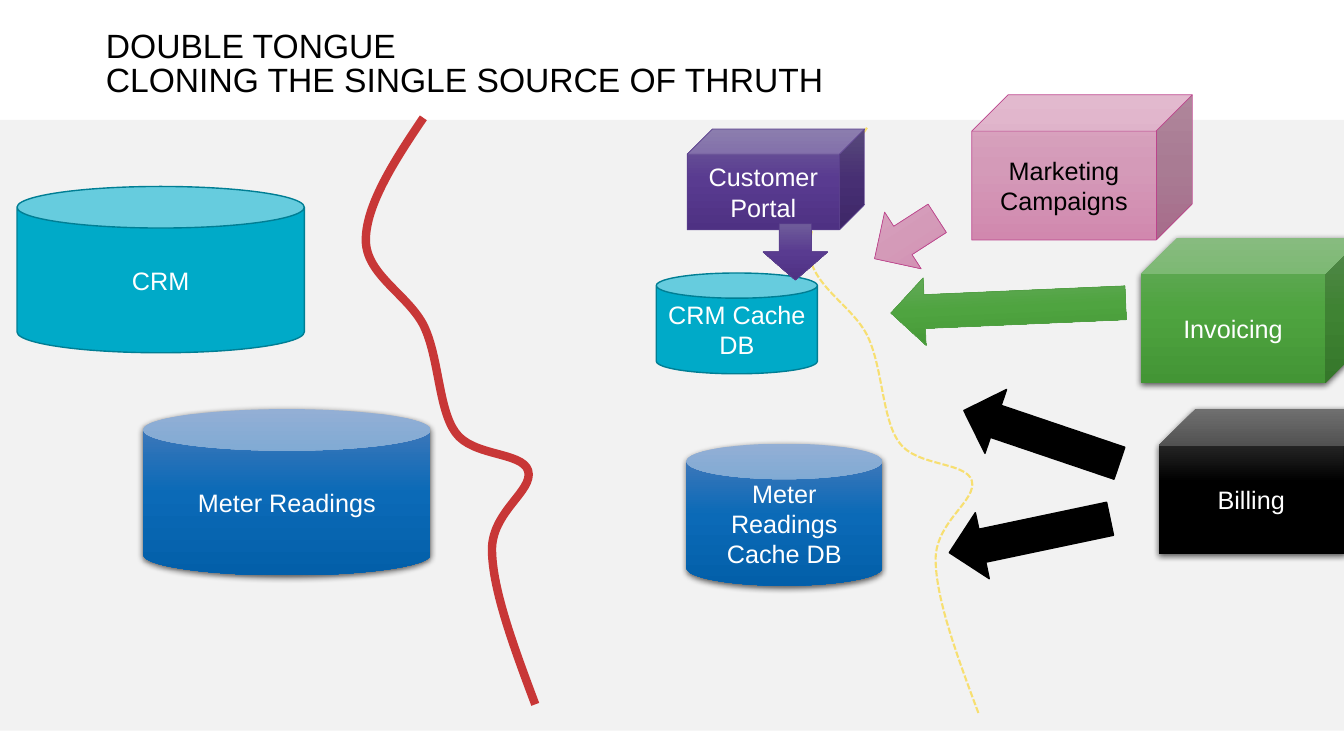
from copy import deepcopy
from dataclasses import dataclass

from lxml import etree
from pptx import Presentation
from pptx import util as u
from pptx.dml.color import RGBColor
from pptx.enum import dml, shapes, text
from pptx.oxml.ns import qn

KIND = shapes.MSO_SHAPE


@dataclass(frozen=True)
class Look:
    fills: tuple
    line: str = ""
    weight: float = 0.5
    shadow: bool = False
    ink: str = "FFFFFF"


@dataclass(frozen=True)
class Theme:
    font: str = "Arial"
    title_size: int = 24
    label_size: int = 18
    ink: str = "000000"
    boundary: str = "C83737"
    cache_boundary: str = "F7DF71"
    band: Look = Look(("F2F2F2",))
    crm: Look = Look(("00AAC8",), "007E94", 1)
    meter: Look = Look(("4C7BBA", "0B6AB7", "035FA9"), shadow=True)
    invoicing: Look = Look(("69AB60", "4FA440", "439535"), shadow=True)
    invoicing_arrow: Look = Look(("69AB60", "4FA440", "439535"), "529F45")
    billing: Look = Look(("4B4B4B", "000000", "000000"), shadow=True)
    billing_arrow: Look = Look(("000000",), "000000", 1)
    marketing: Look = Look(("DBA8C2", "D49AB8", "D188AE"), "BC448C", ink="000000")
    portal: Look = Look(("6F5D9A", "593B90", "4E3183"), "5A3F8C")


def write(frame, words, *, font, size, color, align=text.PP_ALIGN.LEFT, spacing=None):
    frame.word_wrap = True
    frame.vertical_anchor = text.MSO_ANCHOR.MIDDLE
    para = frame.paragraphs[0]
    para.alignment = align
    if spacing:
        para.line_spacing = spacing
    for index, line in enumerate(words.split("\n")):
        if index:
            para.add_line_break()
        span = para.add_run()
        span.text = line
        span.font.name = font
        span.font.size = u.Pt(size)
        span.font.color.rgb = RGBColor.from_string(color)


class Painter:
    def __init__(self, page, theme):
        self.page = page
        self.theme = theme

    def title(self, words, left, top, width, height):
        frame = self.page.shapes.add_textbox(*map(u.Cm, (left, top, width, height))).text_frame
        frame.margin_left = frame.margin_right = frame.margin_bottom = 0
        frame.margin_top = u.Cm(0.1)
        write(frame, words, font=self.theme.font, size=self.theme.title_size,
              color=self.theme.ink, spacing=0.85)

    def shape(self, kind, look, left, top, width, height, label="", turn=0):
        box = self.page.shapes.add_shape(kind, *map(u.Cm, (left, top, width, height)))
        box.rotation = turn
        self.paint(box, look)
        if label:
            write(box.text_frame, label, font=self.theme.font, size=self.theme.label_size,
                  color=look.ink, align=text.PP_ALIGN.CENTER)

    def paint(self, box, look):
        box.shadow.inherit = False
        properties = box._element.spPr
        if len(look.fills) == 1:
            box.fill.solid()
            box.fill.fore_color.rgb = RGBColor.from_string(look.fills[0])
        else:
            box.fill.gradient()
            box.fill.gradient_angle = 270
            stops = properties.find(".//" + qn("a:gsLst"))
            stops.append(deepcopy(stops[0]))
            for stop, color, position in zip(box.fill.gradient_stops, look.fills, (0, 0.5, 1)):
                stop.color.rgb = RGBColor.from_string(color)
                stop.position = position
        if look.line:
            box.line.color.rgb = RGBColor.from_string(look.line)
            box.line.width = u.Pt(look.weight)
        else:
            box.line.fill.background()
        if look.shadow:
            shade = etree.SubElement(
                properties.find(qn("a:effectLst")), qn("a:outerShdw"),
                blurRad=str(u.Pt(4.5)), dist=str(u.Pt(1.5)), dir="5400000", rotWithShape="0")
            color = etree.SubElement(shade, qn("a:srgbClr"), val="000000")
            etree.SubElement(color, qn("a:alpha"), val="63000")

    def curve(self, points, color, weight, shift=(0, 0), dash=None):
        start, *rest = [(u.Cm(x + shift[0]), u.Cm(y + shift[1])) for x, y in points]
        builder = self.page.shapes.build_freeform(*start)
        builder.add_line_segments(rest, close=False)
        wave = builder.convert_to_shape()
        wave.shadow.inherit = False
        wave.fill.background()
        wave.line.color.rgb = RGBColor.from_string(color)
        wave.line.width = u.Pt(weight)
        if dash:
            wave.line.dash_style = dash
        outline = wave._element.spPr.find(".//" + qn("a:path"))
        segments = outline.findall(qn("a:lnTo"))
        for first in range(0, len(segments), 3):
            bend = etree.SubElement(outline, qn("a:cubicBezTo"))
            for segment in segments[first:first + 3]:
                bend.append(segment[0])
                outline.remove(segment)


BOUNDARY = (
    (10.67, 2.97),
    (9.93, 4.06), (9.22, 5.18), (9.22, 6.05),
    (9.22, 6.93), (10.31, 7.44), (10.69, 8.23),
    (11.07, 9.04), (11.05, 10.31), (11.48, 10.9),
    (11.91, 11.51), (13.16, 11.38), (13.31, 11.86),
    (13.46, 12.37), (12.37, 12.9), (12.4, 13.89),
    (12.42, 14.88), (12.95, 16.31), (13.49, 17.75),
)


def main():
    deck = Presentation()
    deck.slide_width, deck.slide_height = u.Cm(33.87), u.Cm(19.05)
    theme = Theme()
    painter = Painter(deck.slides.add_slide(deck.slide_layouts[6]), theme)

    painter.shape(KIND.RECTANGLE, theme.band, 0, 3.02, 33.87, 15.39)
    painter.title("DOUBLE TONGUE\nCLONING THE SINGLE SOURCE OF THRUTH", 2.67, 1.27, 21.11, 0.66)

    source = (7.24, 4.19)
    painter.shape(KIND.CAN, theme.crm, 0.43, 4.7, *source, "CRM")
    painter.shape(KIND.CAN, theme.meter, 3.61, 10.31, *source, "Meter Readings")

    consumer = (5.56, 3.66)
    painter.shape(KIND.CUBE, theme.invoicing, 28.75, 5.99, *consumer, "Invoicing")
    painter.shape(KIND.CUBE, theme.billing, 29.21, 10.31, *consumer, "Billing")
    painter.shape(KIND.CUBE, theme.marketing, 24.49, 2.39, *consumer, "Marketing Campaigns")

    for look, left, top, width, turn in (
        (theme.marketing, 21.89, 5.16, 1.88, 327.2),
        (theme.billing_arrow, 24.18, 10.16, 4.14, 18.7),
        (theme.billing_arrow, 23.88, 12.65, 4.14, 348.1),
        (theme.invoicing_arrow, 22.45, 6.91, 5.92, 357.5),
    ):
        painter.shape(KIND.LEFT_ARROW, look, left, top, width, 1.7, turn=turn)

    painter.curve(BOUNDARY, theme.boundary, 6)
    painter.curve(BOUNDARY, theme.cache_boundary, 1.5, shift=(11.18, 0.25),
                  dash=dml.MSO_LINE.SQUARE_DOT)

    painter.shape(KIND.CAN, theme.crm, 16.54, 6.88, 4.06, 2.54, "CRM Cache DB")
    painter.shape(KIND.CAN, theme.meter, 17.3, 11.18, 4.93, 3.58, "Meter Readings Cache DB")
    painter.shape(KIND.CUBE, theme.portal, 17.32, 3.25, 4.47, 2.54, "Customer Portal")
    painter.shape(KIND.DOWN_ARROW, theme.portal, 19.23, 5.64, 1.63, 1.42)

    deck.save("out.pptx")


if __name__ == "__main__":
    main()
